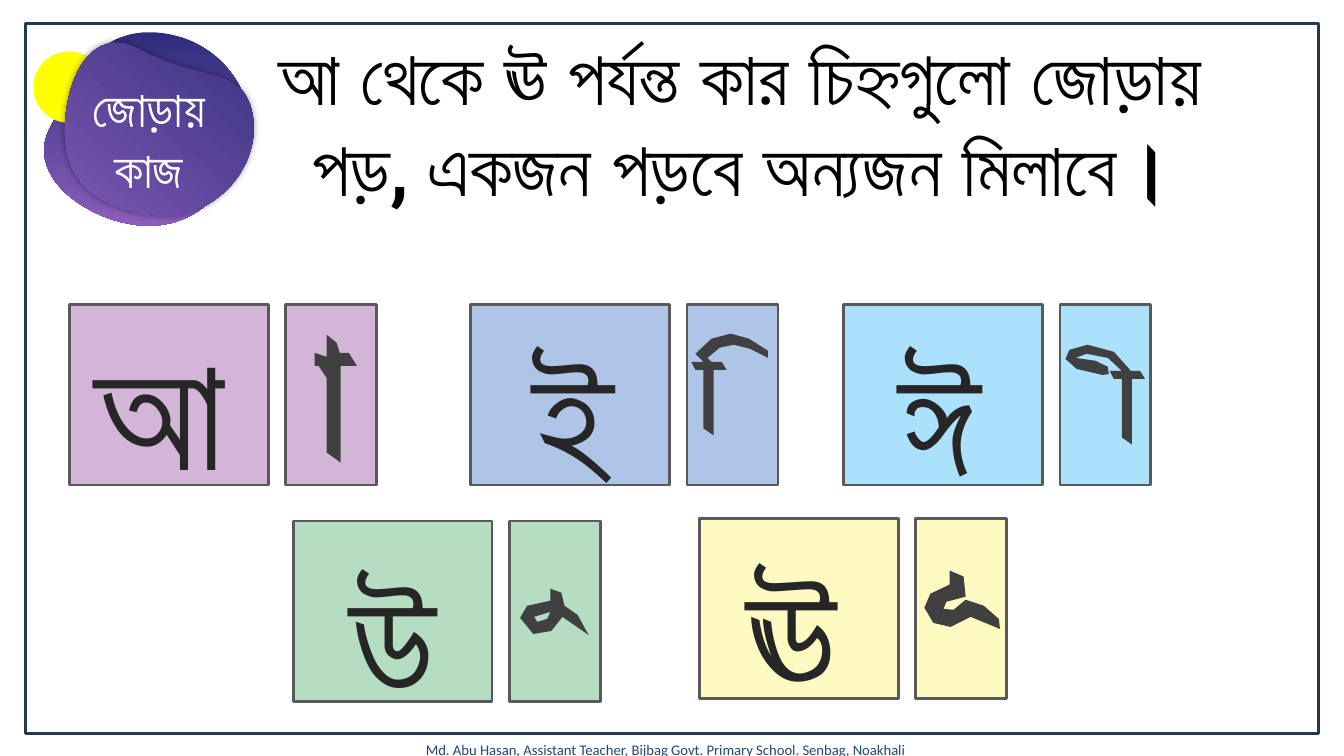
from lxml import etree
from pptx import Presentation
from pptx.dml.color import RGBColor
from pptx.enum.shapes import MSO_SHAPE
from pptx.enum.text import MSO_AUTO_SIZE, PP_ALIGN
from pptx.oxml.ns import qn
from pptx.util import Pt

RECTANGLE = MSO_SHAPE.RECTANGLE
OVAL = MSO_SHAPE.OVAL
CENTER = PP_ALIGN.CENTER
LEFT = PP_ALIGN.LEFT
GROW = MSO_AUTO_SIZE.SHAPE_TO_FIT_TEXT

COLORS = {
    "frame": "233953", "footer": "1F497D", "black": "000000", "white": "FFFFFF",
    "night": "2F2D7B", "violet": "8A5EBA", "sun": "FFFF00",
    "edge": "595959", "letter": "262626", "sign": "404040",
    "mauve": "D3B6D7", "blue": "AEC5E7", "sky": "ABE1FA",
    "green": "B4DDC1", "cream": "FFFAC2",
}
FORMATS = {
    "footer": {"name": "Calibri", "size": Pt(10.5), "bold": False},
    "title": {"name": "Roboto", "size": Pt(54), "bold": True},
    "badge": {"name": "Calibri", "size": Pt(36), "bold": True},
    "letter": {"name": "Calibri", "size": Pt(115), "bold": True},
}
FOOTER = ["Md. Abu Hasan, Assistant Teacher, Bijbag Govt. Primary School. Senbag, Noakhali"]
TITLE = ["আ থেকে ঊ পর্যন্ত কার চিহ্নগুলো জোড়ায় পড়, একজন পড়বে অন্যজন মিলাবে।"]
BADGE = ["জোড়ায়", "কাজ"]

CARD_WIDTH, SIGN_WIDTH, CARD_HEIGHT, SIGN_OFFSET = 142, 65, 129, 154.5
LETTER_HEIGHT = 147
CARDS = [
    (49.7, 217.4, "mauve"),
    (336.2, 217.4, "blue"),
    (602.6, 217.4, "sky"),
    (209.5, 372.2, "green"),
    (499.7, 370.1, "cream"),
]
LETTERS = [
    ("আ", 60.5, 217.4, 105),
    ("ই", 373, 221, 68),
    ("ঈ", 635, 221, 76),
    ("উ", 242.6, 380.2, 72),
    ("ঊ", 526.3, 375.8, 81),
]

OUTLINE_UNIT = 0.72
PRECISION = 100
CURVE_STEPS = 24
BACK_BLOB = [(49, 128), (75, 78), (94, 32), (148, 32), (203, 32), (248, 75), (248, 128),
             (237, 176), (203, 224), (148, 224), (94, 224), (24, 178)]
FRONT_BLOB = [(92, 74), (159, 63), (180, 24), (217, 53), (253, 82), (257, 139), (225, 179),
              (189, 211), (137, 230), (101, 201), (64, 172), (25, 86)]
POST = [(18, 0), (23, 8), (10, 8), (10, 73), (0, 66), (0, 8), (-8, 8), (-12, 0), (0, 0)]
I_POST = (698, 359)
I_ARC = [(690, 351), (706, 336), (725, 331), (743, 336), (762, 348), (762, 355),
         (744, 346), (728, 342), (714, 345), (702, 355), (706, 359)]
II_POST = (1113, 368)
II_ARC = [(1099, 355), (1078, 351), (1067, 355), (1087, 358), (1099, 364), (1100, 371),
          (1094, 372), (1068, 366), (1057, 356), (1061, 347), (1079, 342), (1105, 349),
          (1122, 368)]
AA_SIGN = [(324, 332), (334, 340), (337, 350), (346, 350), (354, 363), (338, 363),
           (338, 459), (324, 449), (324, 375), (316, 363), (312, 363), (312, 350), (324, 354)]
U_SIGN = [(546, 584), (557, 588), (560, 601), (573, 610), (584, 630), (558, 612),
          (547, 626), (529, 629), (516, 613), (523, 601), (546, 596)]
U_HOLE = [(546, 607), (530, 612), (533, 617), (543, 614)]
UU_SIGN = [(942, 566), (956, 572), (958, 592), (939, 597), (936, 604), (946, 605),
           (958, 595), (976, 601), (991, 614), (992, 624), (963, 612), (943, 622),
           (926, 618), (917, 603), (923, 589), (942, 580)]


def rgb(color):
    return RGBColor.from_string(COLORS[color])


def style(shape, fill=None, line=None):
    shape.shadow.inherit = False
    if fill:
        shape.fill.solid()
        shape.fill.fore_color.rgb = rgb(fill)
    else:
        shape.fill.background()
    if line:
        shape.line.color.rgb = rgb(line)
        shape.line.width = Pt(2)
    else:
        shape.line.fill.background()


def add_preset(shapes, preset, box, fill=None, line=None):
    style(shapes.add_shape(preset, *map(Pt, box)), fill, line)


def add_text(shapes, lines, box, kind, color, alignment=CENTER, wrap=True):
    frame = shapes.add_textbox(*map(Pt, box)).text_frame
    frame.word_wrap = wrap
    frame.auto_size = GROW
    for index, line in enumerate(lines):
        paragraph = frame.add_paragraph() if index else frame.paragraphs[0]
        paragraph.alignment = alignment
        run = paragraph.add_run()
        run.text = line
        run.font.color.rgb = rgb(color)
        for name, value in FORMATS[kind].items():
            setattr(run.font, name, value)


def add_outline(shapes, contours, fill=None):
    factor = OUTLINE_UNIT * PRECISION
    scaled = [[(x * factor, y * factor) for x, y in contour] for contour in contours]
    builder = shapes.build_freeform(*scaled[0][0], scale=Pt(1 / PRECISION))
    for index, contour in enumerate(scaled):
        if index:
            builder.move_to(*contour[0])
        builder.add_line_segments(contour[1:], close=True)
    shape = builder.convert_to_shape()
    style(shape, fill)
    return shape


def flatten(controls):
    closed = controls + controls[:1]
    points = closed[:1]
    for start in range(0, len(controls), 3):
        a, b, c, d = closed[start:start + 4]
        for step in range(1, CURVE_STEPS + 1):
            t = step / CURVE_STEPS
            u = 1 - t
            points.append(tuple(
                u ** 3 * a[i] + 3 * u * u * t * b[i] + 3 * u * t * t * c[i] + t ** 3 * d[i]
                for i in (0, 1)))
    return points


def add_blob(shapes, controls):
    blob = add_outline(shapes, [flatten(controls)])
    blob.fill.gradient()
    blob.fill.gradient_angle = 270
    for stop, position, color in zip(blob.fill.gradient_stops, (0, 1), ("night", "violet")):
        stop.position = position
        stop.color.rgb = rgb(color)
    return blob


def add_glow(shape):
    effects = shape._element.spPr.find(qn("a:effectLst"))
    shadow = etree.SubElement(effects, qn("a:outerShdw"), blurRad=str(Pt(5)), dist="0", dir="0")
    color = etree.SubElement(shadow, qn("a:srgbClr"), val=COLORS["black"])
    etree.SubElement(color, qn("a:alpha"), val="40000")


def posted(corner, arc):
    left, top = corner
    return [(left + x, top + y) for x, y in POST] + arc


def main():
    presentation = Presentation()
    presentation.slide_width, presentation.slide_height = Pt(960), Pt(540)
    shapes = presentation.slides.add_slide(presentation.slide_layouts[6]).shapes

    add_text(shapes, FOOTER, (252, 525.6, 447, 20), "footer", "footer")
    add_preset(shapes, RECTANGLE, (18, 16.6, 924, 507.6), line="frame")
    add_text(shapes, TITLE, (190, 18, 677, 138), "title", "black")

    badge = shapes.add_group_shape().shapes
    add_blob(badge, BACK_BLOB)
    add_preset(badge, OVAL, (23.8, 36.7, 51, 51), "sun")
    front = add_blob(badge, FRONT_BLOB)
    front.rotation = 38.2
    add_glow(front)
    add_text(badge, BADGE, (52.8, 51.8, 107, 94), "badge", "white", wrap=False)

    for left, top, color in CARDS:
        pair = shapes.add_group_shape().shapes
        for offset, width in ((0, CARD_WIDTH), (SIGN_OFFSET, SIGN_WIDTH)):
            add_preset(pair, RECTANGLE, (left + offset, top, width, CARD_HEIGHT), color, "edge")
    for letter, left, top, width in LETTERS:
        box = (left, top, width, LETTER_HEIGHT)
        add_text(shapes, [letter], box, "letter", "letter", LEFT, False)
    for contours in ([UU_SIGN], [U_SIGN, U_HOLE], [posted(II_POST, II_ARC)],
                     [posted(I_POST, I_ARC)], [AA_SIGN]):
        add_outline(shapes, contours, "sign")

    presentation.save("out.pptx")


if __name__ == "__main__":
    main()
